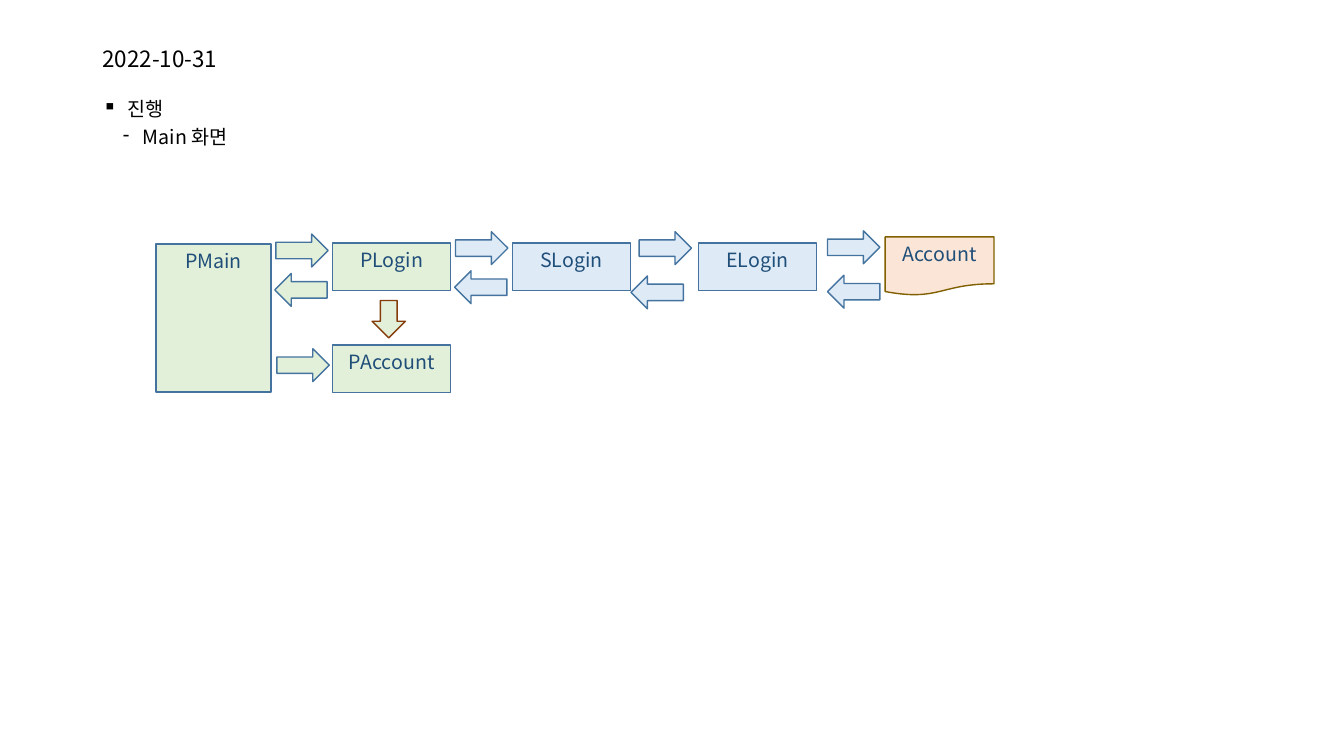
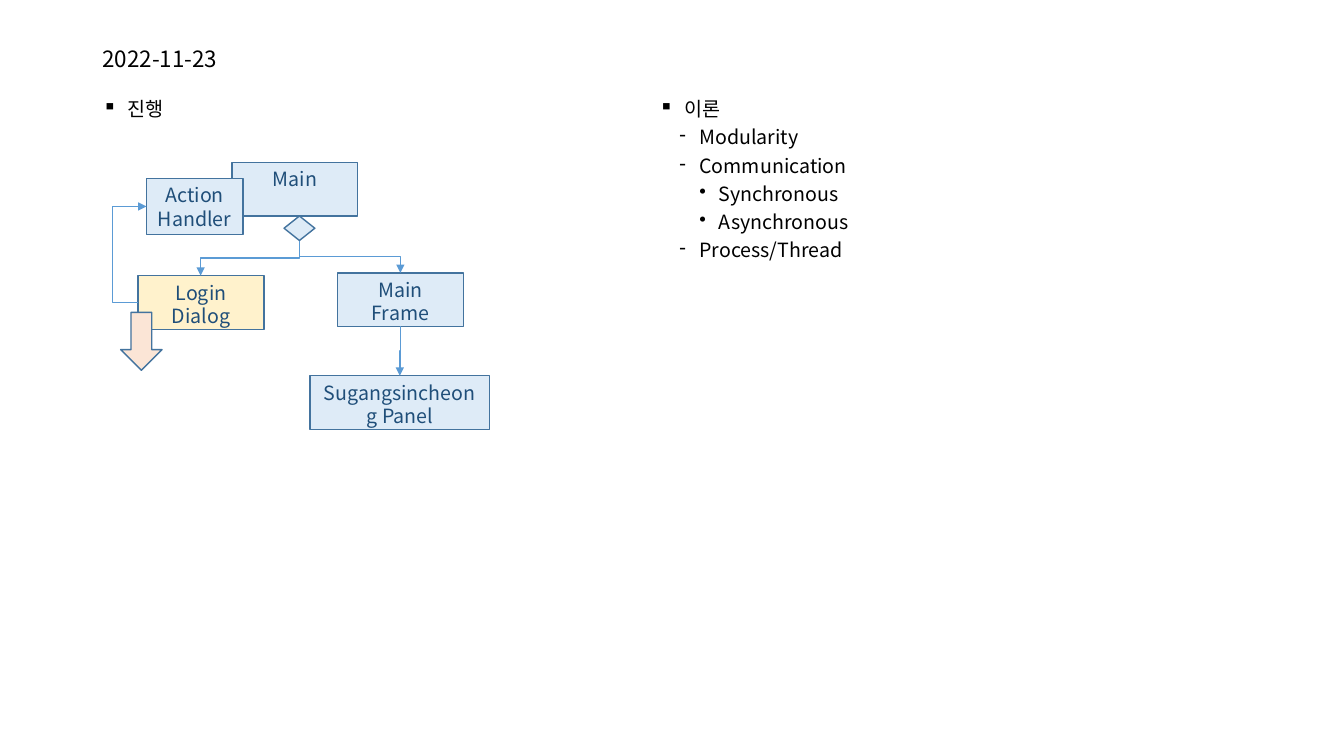
from dataclasses import dataclass
from typing import NamedTuple

from lxml import etree
from pptx import Presentation
from pptx.dml.color import RGBColor
from pptx.enum.shapes import MSO_CONNECTOR, MSO_SHAPE
from pptx.enum.text import MSO_ANCHOR, PP_ALIGN
from pptx.oxml.ns import qn
from pptx.slide import Slide
from pptx.text.text import TextFrame
from pptx.util import Pt

ELBOW = MSO_CONNECTOR.ELBOW
RECTANGLE = MSO_SHAPE.RECTANGLE
DOCUMENT = MSO_SHAPE.FLOWCHART_DOCUMENT
DIAMOND = MSO_SHAPE.DIAMOND
RIGHT = MSO_SHAPE.RIGHT_ARROW
LEFT = MSO_SHAPE.LEFT_ARROW
DOWN = MSO_SHAPE.DOWN_ARROW
TOP = MSO_ANCHOR.TOP
MIDDLE = MSO_ANCHOR.MIDDLE
CENTER = PP_ALIGN.CENTER


@dataclass(frozen=True)
class Theme:
    font: str = "Noto Sans CJK KR"
    title_size: float = 16
    text_size: float = 14
    line_width: float = 1
    line_spacing: float = 0.9
    text: str = "000000"
    label: str = "1F4E79"
    outline: str = "43739E"
    link: str = "5B9BD5"
    green: str = "E2F0D9"
    blue: str = "DEEBF7"
    yellow: str = "FFF2CC"
    peach: str = "FBE5D6"
    brown: str = "843C0B"
    olive: str = "806000"


THEME = Theme()


class Box(NamedTuple):
    left: float
    top: float
    width: float
    height: float


class Level(NamedTuple):
    marker: str
    indent: float
    hanging: float
    space_before: float


class Item(NamedTuple):
    level: int
    text: str


class Node(NamedTuple):
    kind: MSO_SHAPE
    box: Box
    fill: str
    label: str = ""
    outline: str = THEME.outline


class Point(NamedTuple):
    x: float
    y: float


class Link(NamedTuple):
    begin: Point
    end: Point
    bend_x: float | None = None


TITLE_BOX = Box(66.2, 28.8, 828, 28.1)
LEFT_BODY = Box(66.2, 67.7, 385.9, 418.3)
RIGHT_BODY = Box(463.7, 67.7, 437.8, 418.3)
LEVELS = (
    Level("▪", 18, 18, 10),
    Level("‐", 28.8, 14.4, 5),
    Level("•", 42.5, 13.7, 5),
)


def style_text(paragraph, size: float, color: str) -> None:
    font = paragraph.font
    font.name = THEME.font
    font.size = Pt(size)
    font.color.rgb = RGBColor.from_string(color)
    default_run = paragraph._p.pPr.find(qn("a:defRPr"))
    default_run.find(qn("a:latin")).addnext(
        etree.Element(qn("a:ea"), typeface=THEME.font)
    )


def add_text_frame(slide: Slide, box: Box, anchor: MSO_ANCHOR) -> TextFrame:
    frame = slide.shapes.add_textbox(*map(Pt, box)).text_frame
    frame.word_wrap = True
    frame.vertical_anchor = anchor
    return frame


def add_title(slide: Slide, title: str) -> None:
    paragraph = add_text_frame(slide, TITLE_BOX, MIDDLE).paragraphs[0]
    paragraph.text = title
    paragraph.line_spacing = THEME.line_spacing
    style_text(paragraph, THEME.title_size, THEME.text)


def add_body(slide: Slide, box: Box, items: list[Item]) -> None:
    frame = add_text_frame(slide, box, TOP)
    for index, item in enumerate(items):
        paragraph = frame.add_paragraph() if index else frame.paragraphs[0]
        level = LEVELS[item.level]
        paragraph.text = item.text
        paragraph.level = item.level
        paragraph.line_spacing = THEME.line_spacing
        paragraph.space_before = Pt(level.space_before)
        style_text(paragraph, THEME.text_size, THEME.text)
        properties = paragraph._p.pPr
        properties.set("marL", str(Pt(level.indent)))
        properties.set("indent", str(-Pt(level.hanging)))
        properties.find(qn("a:defRPr")).addprevious(
            etree.Element(qn("a:buChar"), char=level.marker)
        )


def add_node(slide: Slide, node: Node) -> None:
    shape = slide.shapes.add_shape(node.kind, *map(Pt, node.box))
    shape.shadow.inherit = False
    shape.fill.solid()
    shape.fill.fore_color.rgb = RGBColor.from_string(node.fill)
    shape.line.color.rgb = RGBColor.from_string(node.outline)
    shape.line.width = Pt(THEME.line_width)
    if node.label:
        frame = shape.text_frame
        frame.word_wrap = True
        frame.vertical_anchor = TOP
        paragraph = frame.paragraphs[0]
        paragraph.text = node.label
        paragraph.alignment = CENTER
        style_text(paragraph, THEME.text_size, THEME.label)


def add_link(slide: Slide, link: Link) -> None:
    begin, end = link.begin, link.end
    vertical = link.bend_x is None
    if vertical:
        middle = Point((begin.x + end.x) / 2, (begin.y + end.y) / 2)
        half_width = abs(end.y - begin.y) / 2
        half_height = abs(end.x - begin.x) / 2
        start = Point(middle.x - half_width, middle.y - half_height)
        finish = Point(middle.x + half_width, middle.y + half_height)
    else:
        start, finish = begin, end
    connector = slide.shapes.add_connector(ELBOW, *map(Pt, (*start, *finish)))
    connector.line.color.rgb = RGBColor.from_string(THEME.link)
    connector.line.width = Pt(THEME.line_width)
    properties = connector._element.spPr
    if vertical:
        transform = properties.find(qn("a:xfrm"))
        to_right = end.x > begin.x
        transform.set("rot", str((270 if to_right else 90) * 60000))
        if to_right:
            transform.set("flipH", "1")
    else:
        ratio = (link.bend_x - begin.x) / (end.x - begin.x)
        adjustments = properties.find(qn("a:prstGeom")).find(qn("a:avLst"))
        etree.SubElement(
            adjustments, qn("a:gd"), name="adj1", fmla=f"val {round(ratio * 100000)}"
        )
    etree.SubElement(properties.find(qn("a:ln")), qn("a:tailEnd"), type="triangle")
    etree.SubElement(properties, qn("a:effectLst"))


def call_box(left: float, top: float) -> Box:
    return Box(left, top, 84.4, 33.9)


def class_box(left: float, top: float, width: float = 90) -> Box:
    return Box(left, top, width, 38.3)


def arrow(kind: MSO_SHAPE, left: float, top: float, fill: str) -> Node:
    return Node(kind, Box(left, top, 37.4, 23.5), fill)


def add_login_slide(presentation) -> None:
    slide = presentation.slides.add_slide(presentation.slide_layouts[6])
    add_title(slide, "2022-10-31")
    add_body(slide, LEFT_BODY, [Item(0, "진행"), Item(1, "Main 화면")])
    green, blue = THEME.green, THEME.blue
    nodes = [
        Node(RECTANGLE, Box(111.4, 174.2, 82.3, 105.9), green, "PMain"),
        Node(RECTANGLE, call_box(237.6, 173.7), green, "PLogin"),
        Node(RECTANGLE, call_box(237.6, 246.4), green, "PAccount"),
        Node(RECTANGLE, call_box(365.9, 173.7), blue, "SLogin"),
        Node(RECTANGLE, call_box(498.8, 173.7), blue, "ELogin"),
        Node(DOCUMENT, Box(632.2, 169.2, 77.8, 41.8), THEME.peach, "Account", THEME.olive),
        arrow(RIGHT, 197, 167.2, green),
        arrow(LEFT, 196.3, 195.3, green),
        arrow(RIGHT, 197.8, 249.1, green),
        arrow(RIGHT, 325.4, 165.5, blue),
        arrow(LEFT, 324.7, 193.4, blue),
        arrow(RIGHT, 456.5, 165.5, blue),
        arrow(LEFT, 450.7, 197.1, blue),
        arrow(RIGHT, 591.1, 164.9, blue),
        arrow(LEFT, 591.1, 196.6, blue),
        Node(DOWN, Box(265.8, 214.6, 23.8, 26.8), green, outline=THEME.brown),
    ]
    for node in nodes:
        add_node(slide, node)


def add_structure_slide(presentation) -> None:
    slide = presentation.slides.add_slide(presentation.slide_layouts[6])
    add_title(slide, "2022-11-23")
    add_body(slide, LEFT_BODY, [Item(0, "진행")])
    theory = [
        Item(0, "이론"),
        Item(1, "Modularity"),
        Item(1, "Communication"),
        Item(2, "Synchronous"),
        Item(2, "Asynchronous"),
        Item(1, "Process/Thread"),
    ]
    add_body(slide, RIGHT_BODY, theory)
    blue = THEME.blue
    nodes = [
        Node(RECTANGLE, class_box(165.6, 116), blue, "Main"),
        Node(RECTANGLE, class_box(98.6, 196.9), THEME.yellow, "Login Dialog"),
        Node(RECTANGLE, class_box(241, 194.9), blue, "Main Frame"),
        Node(RECTANGLE, class_box(221.5, 268.4, 128.2), blue, "Sugangsincheong Panel"),
        Node(DIAMOND, Box(202.9, 154.3, 22, 17.5), blue),
        Node(RECTANGLE, Box(104.6, 127.4, 69.1, 40.1), blue, "Action Handler"),
        Node(DOWN, Box(86.2, 223.1, 29.6, 41.4), THEME.peach),
    ]
    for node in nodes:
        add_node(slide, node)
    diamond_foot = Point(213.9, 171.8)
    links = [
        Link(diamond_foot, Point(143.3, 196.9)),
        Link(diamond_foot, Point(286, 194.9)),
        Link(Point(286, 233.2), Point(285.6, 268.4)),
        Link(Point(98.6, 216), Point(104.6, 147.5), bend_x=80.6),
    ]
    for link in links:
        add_link(slide, link)


def main() -> None:
    presentation = Presentation()
    presentation.slide_width = Pt(960)
    presentation.slide_height = Pt(540)
    add_login_slide(presentation)
    add_structure_slide(presentation)
    presentation.save("out.pptx")


main()
